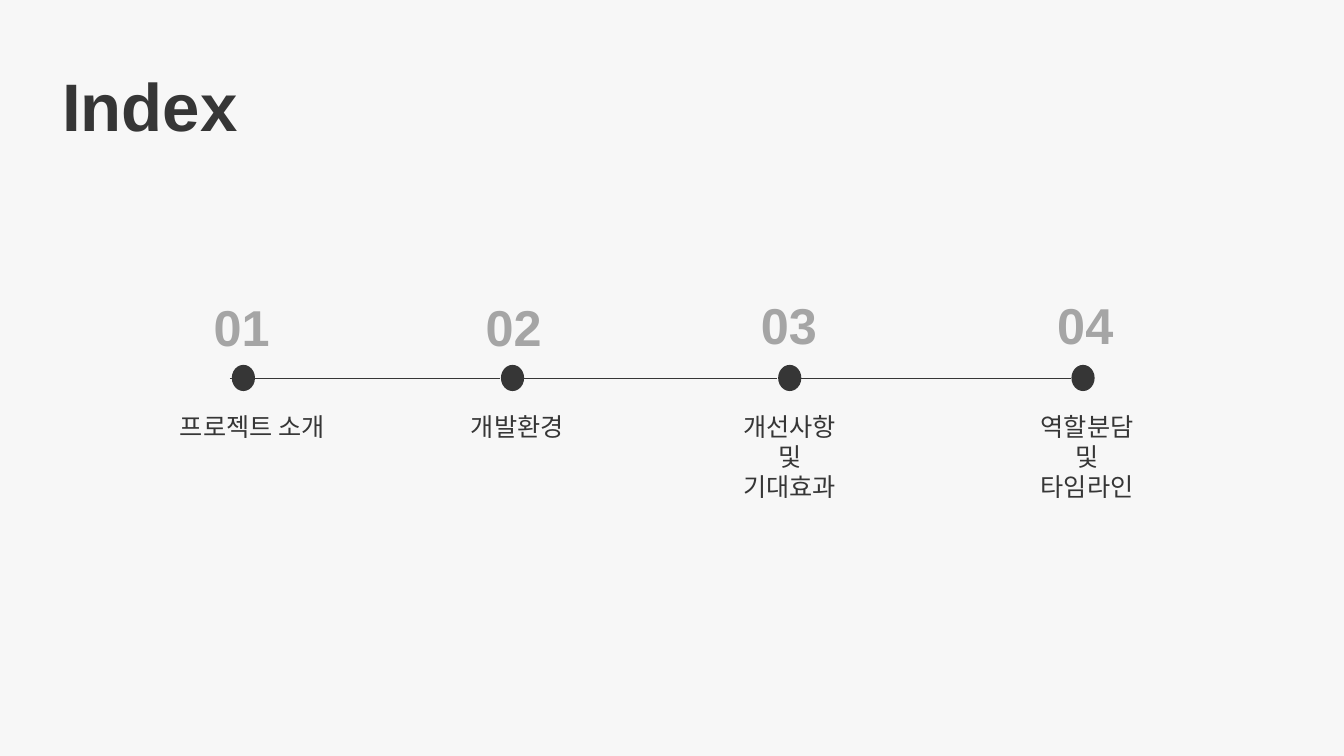
from pptx import Presentation
from pptx.dml.color import RGBColor
from pptx.enum.shapes import MSO_CONNECTOR, MSO_SHAPE
from pptx.enum.text import MSO_AUTO_SIZE, PP_ALIGN
from pptx.oxml.ns import qn
from pptx.util import Pt
from lxml import etree

OVAL = MSO_SHAPE.OVAL
STRAIGHT = MSO_CONNECTOR.STRAIGHT
FIT_SHAPE = MSO_AUTO_SIZE.SHAPE_TO_FIT_TEXT
LEFT, CENTER, RIGHT = PP_ALIGN.LEFT, PP_ALIGN.CENTER, PP_ALIGN.RIGHT

COLORS = {"background": "F7F7F7", "ink": "363636", "number": "A5A5A5"}
FONT = "Arial"
DOT_WIDTH, DOT_HEIGHT = 16.56, 18.72
LINE_LENGTH = 193

STEPS = [
    {"dot": 165.6, "number": (145.44, 2.88), "label": (108.72, 130.32),
     "text": "프로젝트 소개", "align": RIGHT, "line": 164.16},
    {"dot": 357.84, "number": (339.84, 2.88), "label": (322.56, 87.12),
     "text": "개발환경", "align": RIGHT, "line": 362.16},
    {"dot": 555.84, "number": (536.4, 1.44), "label": (520.56, 87.12),
     "text": "개선사항\n및\n기대효과", "align": CENTER, "line": 571.68},
    {"dot": 765.36, "number": (748.08, 1.44), "label": (732.96, 87.12),
     "text": "역할분담\n및\n타임라인", "align": CENTER, "line": None},
]


def color(name):
    """Return the named colour."""
    return RGBColor.from_string(COLORS[name])


def add_text(page, box, text, size, color_name, bold=False, align=LEFT):
    """Write unwrapped text in a box given as left, top, width, height."""
    frame = page.shapes.add_textbox(*map(Pt, box)).text_frame
    frame.word_wrap = False
    frame.auto_size = FIT_SHAPE
    frame.text = text
    for para in frame.paragraphs:
        para.alignment = align
        for span in para.runs:
            span.font.name = FONT
            span.font.size = Pt(size)
            span.font.bold = bold
            span.font.color.rgb = color(color_name)


def add_line(page, left, middle):
    """Draw one horizontal stretch of the timeline."""
    line = page.shapes.add_connector(
        STRAIGHT, Pt(left), Pt(middle), Pt(left + LINE_LENGTH), Pt(middle))
    line.line.color.rgb = color("ink")
    line.line.width = Pt(0.5)
    etree.SubElement(line._element.spPr, qn("a:effectLst"))


def add_dot(page, left, middle):
    """Draw a timeline dot centred on the given height."""
    dot = page.shapes.add_shape(
        OVAL, Pt(left), Pt(middle - DOT_HEIGHT / 2), Pt(DOT_WIDTH), Pt(DOT_HEIGHT))
    dot.shadow.inherit = False
    dot.fill.solid()
    dot.fill.fore_color.rgb = color("ink")
    dot.line.fill.background()


def add_timeline(page, top):
    """Lay out the numbered steps below the given top."""
    middle = top + 64.8
    for index, step in enumerate(STEPS, 1):
        if step["line"] is not None:
            add_line(page, step["line"], middle)
        add_dot(page, step["dot"], middle)
        left, drop = step["number"]
        add_text(page, (left, top + drop, 56.88, 51.12),
                 f"{index:02}", 36, "number", bold=True)
        left, width = step["label"]
        height = 7.2 + 21.8 * len(step["text"].split("\n"))
        add_text(page, (left, middle + 20.16, width, height),
                 step["text"], 18, "ink", align=step["align"])


def main():
    """Build and save the index slide."""
    deck = Presentation()
    deck.slide_width, deck.slide_height = Pt(960), Pt(540)
    page = deck.slides.add_slide(deck.slide_layouts[6])
    page.background.fill.solid()
    page.background.fill.fore_color.rgb = color("background")
    add_text(page, (37.44, 42.48, 141.84, 65.52), "Index", 48, "ink", bold=True)
    add_timeline(page, 205.2)
    deck.save("out.pptx")


if __name__ == "__main__":
    main()
